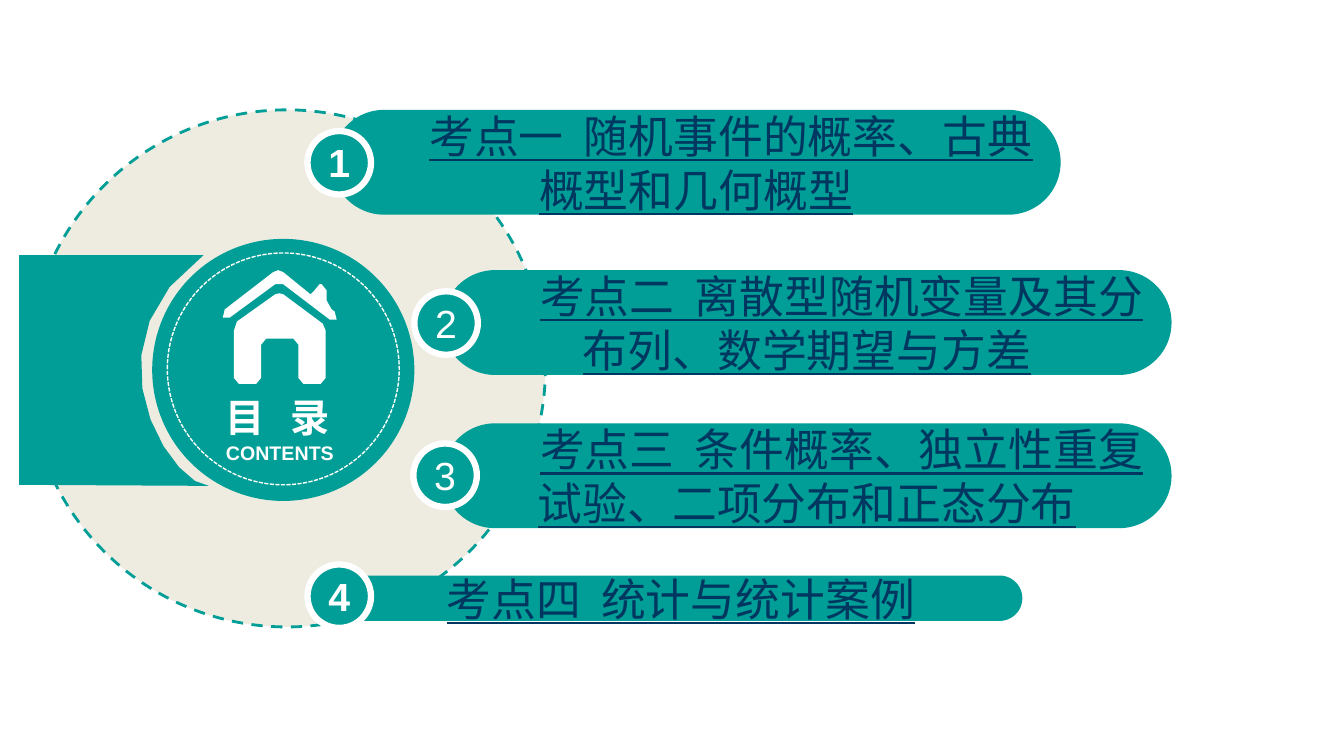
from pptx import Presentation
from pptx.dml.color import RGBColor
from pptx.enum.dml import MSO_LINE
from pptx.enum.shapes import MSO_SHAPE as Preset
from pptx.enum.text import MSO_ANCHOR as Anchor, MSO_AUTO_SIZE as AutoSize, PP_ALIGN as Align
from pptx.util import Emu, Pt

EMU_PER_PX = 9144
TEAL, CREAM, WHITE, NAVY = "009E96", "EEECE1", "FFFFFF", "003760"

BAND_CURVE = [(202, 253), (78, 343), (171, 482), (207, 482)]
HOUSE_WALLS = [
    (281, 292), (277, 291), (273, 292), (235, 319), (232, 328), (232, 375),
    (237, 381), (254, 381), (259, 375), (259, 342), (264, 336), (291, 336),
    (296, 342), (296, 375), (301, 381), (318, 381), (323, 375), (323, 328),
    (320, 321),
]
HOUSE_ROOF = [
    (329, 307), (324, 298), (324, 288), (319, 282), (317, 282), (312, 288),
    (308, 292), (281, 270), (276, 268), (271, 270), (223, 307), (221, 315),
    (228, 315), (273, 282), (281, 282), (327, 317), (334, 317), (332, 309),
]
TOPICS = [
    ("1", "考点一  随机事件的概率、古典概型和几何概型", (329, 109, 723, 104), (305, 130), True, 69),
    ("4", "考点四  统计与统计案例", (337, 571, 677, 45), (305, 560), True, 0),
    ("2", "考点二  离散型随机变量及其分布列、数学期望与方差", (439, 268, 723, 104), (411, 289), False, 69),
    ("3", "考点三  条件概率、独立性重复试验、二项分布和正态分布", (439, 420, 723, 104), (410, 440), False, 69),
]
BADGE_SIZE = 63
NUMBER_DROP, NUMBER_HEIGHT = 4, 54


def px(length):
    return Emu(round(length * EMU_PER_PX))


def color(hex_value):
    return RGBColor.from_string(hex_value)


def paint(shape, fill=None, outline=None, weight=1, dash=None):
    shape.shadow.inherit = False
    if fill:
        shape.fill.solid()
        shape.fill.fore_color.rgb = color(fill)
    else:
        shape.fill.background()
    if outline:
        shape.line.color.rgb = color(outline)
        shape.line.width = Pt(weight)
        if dash:
            shape.line.dash_style = dash
    else:
        shape.line.fill.background()


def add_preset(slide, preset, box, **style):
    shape = slide.shapes.add_shape(preset, *map(px, box))
    paint(shape, **style)
    return shape


def curve_points(controls, steps=9):
    points = []
    for step in range(steps + 1):
        t = step / steps
        u = 1 - t
        weights = u ** 3, 3 * u * u * t, 3 * u * t * t, t ** 3
        points.append(tuple(
            sum(w * value for w, value in zip(weights, axis))
            for axis in zip(*controls)
        ))
    return points


def add_outline(slide, points, fill):
    start, *rest = [(px(x), px(y)) for x, y in points]
    builder = slide.shapes.build_freeform(*start)
    builder.add_line_segments(rest, close=True)
    paint(builder.convert_to_shape(), fill)


def format_text(paragraph, size, hex_value, bold=False, align=Align.CENTER):
    paragraph.alignment = align
    font = paragraph.font
    font.name = "Arial"
    font.size = Pt(size)
    font.bold = bold
    font.color.rgb = color(hex_value)


def place_title(slide):
    title = slide.shapes.title
    title.left, title.top, title.width, title.height = map(px, (214, 393, 142, 65))
    frame = title.text_frame
    frame.text = "目 录\nCONTENTS"
    frame.auto_size = AutoSize.NONE
    frame.vertical_anchor = Anchor.MIDDLE
    for paragraph, size in zip(frame.paragraphs, (28, 14)):
        format_text(paragraph, size, WHITE, True, Align.LEFT)
    frame.paragraphs[0].runs[0].font._element.set("spc", "590")
    title.element.getparent().append(title.element)


def add_number(slide, number, box, bold):
    frame = slide.shapes.add_textbox(*map(px, box)).text_frame
    frame.word_wrap = True
    frame.text = number
    frame.vertical_anchor = Anchor.MIDDLE
    format_text(frame.paragraphs[0], 28, WHITE, bold)


def add_topic(slide, number, label, pill_box, badge_corner, bold, indent):
    pill = add_preset(slide, Preset.ROUNDED_RECTANGLE, pill_box, fill=TEAL)
    pill.adjustments[0] = 0.5
    pill.text_frame.text = label
    pill.text_frame.vertical_anchor = Anchor.MIDDLE
    topic = pill.text_frame.paragraphs[0]
    format_text(topic, 32, NAVY)
    topic.font.underline = True
    if indent:
        topic._p.get_or_add_pPr().set("indent", str(px(indent)))

    left, top = badge_corner
    add_preset(slide, Preset.OVAL, (left, top, BADGE_SIZE, BADGE_SIZE),
               fill=TEAL, outline=WHITE, weight=4.5)
    add_number(slide, number, (left, top + NUMBER_DROP, BADGE_SIZE, NUMBER_HEIGHT), bold)


def main():
    deck = Presentation()
    deck.slide_width, deck.slide_height = px(1333), px(750)
    slide = deck.slides.add_slide(deck.slide_layouts[5])

    add_preset(slide, Preset.OVAL, (28, 109, 513, 513),
               fill=CREAM, outline=TEAL, weight=2, dash=MSO_LINE.DASH)
    add_outline(slide, [(19, 253), *curve_points(BAND_CURVE), (19, 481)], TEAL)
    add_preset(slide, Preset.OVAL, (151, 237, 260, 260), fill=TEAL)
    for part in (HOUSE_WALLS, HOUSE_ROOF):
        add_outline(slide, part, WHITE)
    place_title(slide)
    add_preset(slide, Preset.OVAL, (166, 251, 230, 230),
               outline=WHITE, dash=MSO_LINE.SQUARE_DOT)
    for topic in TOPICS:
        add_topic(slide, *topic)

    deck.save("out.pptx")


if __name__ == "__main__":
    main()
